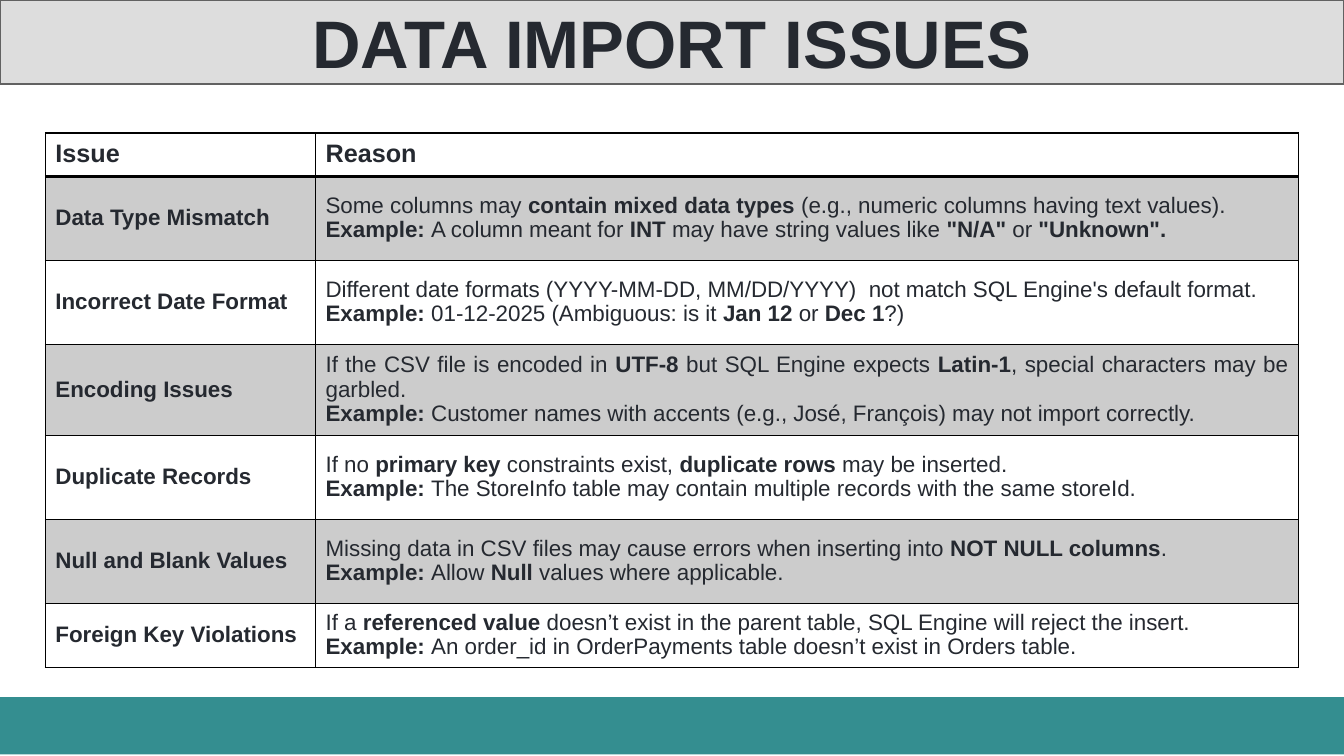
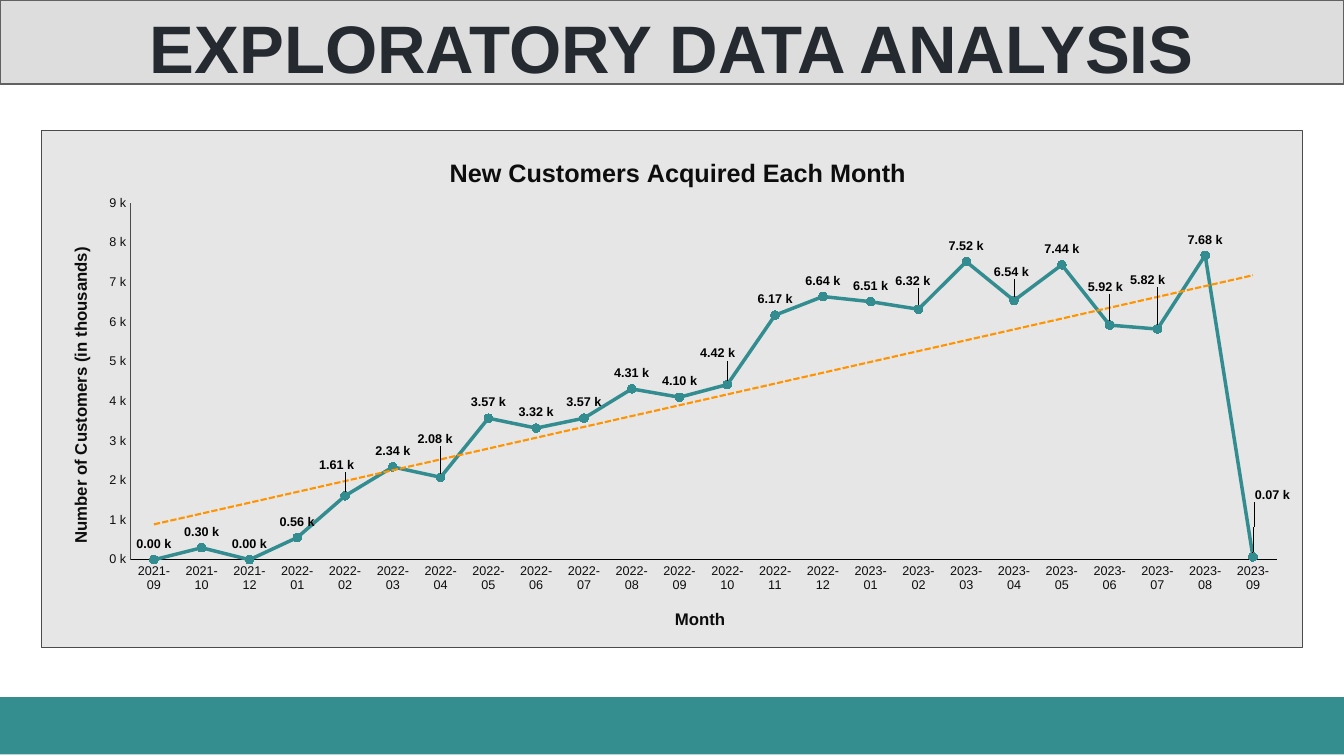
from pptx import Presentation
from pptx.chart.data import CategoryChartData
from pptx.dml.color import RGBColor
from pptx.enum.chart import XL_CHART_TYPE, XL_LABEL_POSITION, XL_MARKER_STYLE, XL_TICK_MARK
from pptx.enum.shapes import MSO_SHAPE
from pptx.enum.text import MSO_ANCHOR, PP_ALIGN
from pptx.oxml import parse_xml
from pptx.oxml.ns import nsdecls, qn
from pptx.util import Pt

RECT = MSO_SHAPE.RECTANGLE
MIDDLE = MSO_ANCHOR.MIDDLE
LEFT, CENTER, JUSTIFY = PP_ALIGN.LEFT, PP_ALIGN.CENTER, PP_ALIGN.JUSTIFY
ABOVE = XL_LABEL_POSITION.ABOVE
NO_TICKS = XL_TICK_MARK.NONE
CIRCLE = XL_MARKER_STYLE.CIRCLE
LINE_MARKERS = XL_CHART_TYPE.LINE_MARKERS

COLORS = {
    "teal": "348E90", "band": "DDDDDD", "band_line": "616161", "text": "252930",
    "white": "FFFFFF", "stripe": "CCCCCC", "black": "000000", "panel": "E6E6E6",
    "axis": "4B4B4B", "chart_text": "0D0D0D", "series": "338D90", "trend": "FF9300",
}
FONT = "Arial"
SLIDE_W, SLIDE_H = 960, 540
TITLE_FORMAT = {"name": FONT, "size": Pt(48), "bold": True}
HEADER_FORMAT = {"name": FONT, "size": Pt(18), "bold": True}
BODY_FORMAT = {"name": FONT, "size": Pt(16)}
LABEL_FORMAT = {"name": FONT, "size": Pt(9), "bold": True}
TICK_FORMAT = {"name": FONT, "size": Pt(9), "bold": False}
AXIS_TITLE_FORMAT = {"name": FONT, "size": Pt(12), "bold": True}

ISSUES = [
    ("Data Type Mismatch",
     "Some columns may **contain mixed data types **(e.g., numeric columns having text values).",
     "A column meant for **INT** may have string values like **\"N/A\" **or **\"Unknown\".**"),
    ("Incorrect Date Format",
     "Different date formats (YYYY-MM-DD, MM/DD/YYYY)  not match SQL Engine's default format.",
     "01-12-2025 (Ambiguous: is it **Jan 12 **or **Dec 1**?)"),
    ("Encoding Issues",
     "If the CSV file is encoded in **UTF-8** but SQL Engine expects **Latin-1**, "
     "special characters may be garbled.",
     "Customer names with accents (e.g., José, François) may not import correctly."),
    ("Duplicate Records",
     "If no **primary key **constraints exist, **duplicate rows** may be inserted.",
     "The StoreInfo table may contain multiple records with the same storeId."),
    ("Null and Blank Values",
     "Missing data in CSV files may cause errors when inserting into **NOT NULL columns**.",
     "Allow **Null** values where applicable."),
    ("Foreign Key Violations",
     "If a **referenced value **doesn’t exist in the parent table, "
     "SQL Engine will reject the insert.",
     "An order_id in OrderPayments table doesn’t exist in Orders table."),
]
ROW_HEIGHTS = [31, 60, 60, 65, 60, 60, 46]
COLUMN_WIDTHS = [193, 702]

MONTHS = (["2021-09", "2021-10", "2021-12"]
          + [f"2022-{month:02}" for month in range(1, 13)]
          + [f"2023-{month:02}" for month in range(1, 10)])
NEW_CUSTOMERS = [0, 300, 0, 560, 1610, 2340, 2080, 3570, 3320, 3570, 4310, 4100,
                 4420, 6170, 6640, 6510, 6320, 7520, 6540, 7440, 5920, 5820, 7680, 70]
LABEL_SHIFTS = {4: (-6, -11), 6: (-4, -16), 12: (-7, -11), 16: (-4, -9),
                18: (-2, -9), 20: (-3, -16), 21: (-7, -24), 23: (14, -33)}
CHART_W, CHART_H = 901, 370


def rgb(color):
    return RGBColor.from_string(COLORS[color])


def set_font(font, values, color):
    for attribute, value in values.items():
        setattr(font, attribute, value)
    font.color.rgb = rgb(color)


def paint(target, color):
    target.fill.solid()
    target.fill.fore_color.rgb = rgb(color)


def set_line(line, color, width):
    line.color.rgb = rgb(color)
    line.width = Pt(width)


def add_band(slide, top, height, color):
    band = slide.shapes.add_shape(RECT, 0, Pt(top), Pt(SLIDE_W), Pt(height))
    band.shadow.inherit = False
    paint(band, color)
    band.line.fill.background()
    return band


def add_base_slide(deck, title, line_spacing=None):
    slide = deck.slides.add_slide(deck.slide_layouts[6])
    add_band(slide, 498, 41, "teal")
    header = add_band(slide, 0, 60, "band")
    set_line(header.line, "band_line", 2)
    header.text_frame.vertical_anchor = MIDDLE
    header.text_frame.word_wrap = True
    paragraph = header.text_frame.paragraphs[0]
    paragraph.alignment = CENTER
    paragraph.line_spacing = line_spacing
    run = paragraph.add_run()
    run.text = title
    set_font(run.font, TITLE_FORMAT, "text")
    return slide


def write_marked(paragraph, marked, values, alignment):
    paragraph.alignment = alignment
    paragraph.line_spacing = 0.97
    for index, part in enumerate(marked.split("**")):
        if part:
            run = paragraph.add_run()
            run.text = part
            set_font(run.font, {**values, "bold": index % 2 == 1}, "text")


def set_borders(cell, widths):
    properties = cell._tc.get_or_add_tcPr()
    for side, width in zip("LRTB", widths):
        properties.append(parse_xml(
            f'<a:ln{side} {nsdecls("a")} w="{Pt(width)}"><a:solidFill>'
            f'<a:srgbClr val="{COLORS["black"]}"/></a:solidFill></a:ln{side}>'))


def fill_cell(cell, lines, values, alignment, color, widths):
    set_borders(cell, widths)
    paint(cell, color)
    cell.vertical_anchor = MIDDLE
    frame = cell.text_frame
    for index, line in enumerate(lines):
        paragraph = frame.add_paragraph() if index else frame.paragraphs[0]
        write_marked(paragraph, line, values, alignment)


def add_issue_table(slide):
    table = slide.shapes.add_table(
        len(ROW_HEIGHTS), len(COLUMN_WIDTHS), Pt(32.4), Pt(95),
        Pt(sum(COLUMN_WIDTHS)), Pt(sum(ROW_HEIGHTS))).table
    table.first_row = table.horz_banding = False
    for column, width in zip(table.columns, COLUMN_WIDTHS):
        column.width = Pt(width)
    for row, height in zip(table.rows, ROW_HEIGHTS):
        row.height = Pt(height)
    for column, heading in enumerate(["Issue", "Reason"]):
        fill_cell(table.cell(0, column), [f"**{heading}**"], HEADER_FORMAT, LEFT,
                  "white", (1, 1, 1, 2))
    for row, (issue, reason, example) in enumerate(ISSUES, 1):
        color = "stripe" if row % 2 else "white"
        widths = (1, 1, 2 if row == 1 else 1, 1)
        fill_cell(table.cell(row, 0), [f"**{issue}**"], BODY_FORMAT, LEFT, color, widths)
        fill_cell(table.cell(row, 1), [reason, f"**Example: **{example}"], BODY_FORMAT,
                  JUSTIFY, color, widths)


def place(parent, index, position, modes=""):
    for old in parent.findall(qn("c:layout")):
        parent.remove(old)
    values = "".join(f'<c:{key} val="{value}"/>' for key, value in position.items())
    parent.insert(index, parse_xml(
        f'<c:layout {nsdecls("c")}><c:manualLayout>{modes}{values}'
        f'</c:manualLayout></c:layout>'))


def write_chart_title(title, text, values, left, top):
    run = title.text_frame.paragraphs[0].add_run()
    run.text = text
    set_font(run.font, values, "chart_text")
    place(title.element, 1, {"x": left, "y": top},
          '<c:xMode val="edge"/><c:yMode val="edge"/>')


def format_axis(axis, title, left, top, line_color):
    axis.has_major_gridlines = False
    axis.major_tick_mark = axis.minor_tick_mark = NO_TICKS
    set_font(axis.tick_labels.font, TICK_FORMAT, "chart_text")
    set_line(axis.format.line, line_color, 0.75)
    write_chart_title(axis.axis_title, title, AXIS_TITLE_FORMAT, left, top)


def label_points(series):
    labels = series.data_labels
    labels.show_value = True
    labels.position = ABOVE
    labels.number_format = '#,##0.00,\\ "k"'
    labels.number_format_is_linked = False
    set_font(labels.font, LABEL_FORMAT, "black")
    for index, (right, down) in LABEL_SHIFTS.items():
        label = series.points[index].data_label
        label.position = ABOVE
        set_font(label.font, LABEL_FORMAT, "black")
    for element in series._element.iter(qn("c:dLbl")):
        right, down = LABEL_SHIFTS[int(element.find(qn("c:idx")).get("val"))]
        place(element, 1, {"x": round(right / CHART_W, 4), "y": round(down / CHART_H, 4)})
        element.insert(2, parse_xml(
            f'<c:numFmt {nsdecls("c")} formatCode="#,##0.00,\\ &quot;k&quot;" '
            'sourceLinked="0"/>'))


def add_trend(series):
    series._element.find(qn("c:cat")).addprevious(parse_xml(
        f'<c:trendline {nsdecls("c", "a")}><c:spPr><a:ln w="{Pt(1.5)}"><a:solidFill>'
        f'<a:srgbClr val="{COLORS["trend"]}"/></a:solidFill><a:prstDash val="sysDash"/>'
        '</a:ln></c:spPr><c:trendlineType val="linear"/><c:dispRSqr val="0"/>'
        '<c:dispEq val="0"/></c:trendline>'))


def format_series(series):
    series.smooth = False
    set_line(series.format.line, "series", 2.5)
    series.marker.style = CIRCLE
    series.marker.size = 6
    paint(series.marker.format, "series")
    set_line(series.marker.format.line, "series", 0.75)
    label_points(series)
    add_trend(series)


def add_customer_chart(slide):
    data = CategoryChartData()
    data.categories = MONTHS
    data.add_series("Series 1", NEW_CUSTOMERS)
    chart = slide.shapes.add_chart(
        LINE_MARKERS, Pt(29.5), Pt(93), Pt(CHART_W), Pt(CHART_H), data).chart
    chart.has_legend = False
    set_font(chart.font, {"name": FONT, "size": Pt(10)}, "black")
    write_chart_title(chart.chart_title, "New Customers Acquired Each Month",
                      HEADER_FORMAT, 0.32, 0.04)
    format_axis(chart.category_axis, "Month", 0.5, 0.92, "black")
    values = chart.value_axis
    format_axis(values, "Number of Customers (in thousands)", 0.02, 0.22, "axis")
    values.axis_title.element.find(".//" + qn("a:bodyPr")).set("rot", "-5400000")
    values.minimum_scale, values.maximum_scale, values.major_unit = 0, 9000, 1000
    values.tick_labels.number_format = '#,##0,\\ "k"'
    values.tick_labels.number_format_is_linked = False
    plot = chart.plots[0]
    plot.vary_by_categories = False
    format_series(plot.series[0])
    chart_root = chart.element.find(qn("c:chart"))
    place(chart_root.find(qn("c:plotArea")), 0, {"x": 0.07, "y": 0.14, "w": 0.91, "h": 0.69},
          '<c:layoutTarget val="inner"/><c:xMode val="edge"/><c:yMode val="edge"/>')
    chart_root.addnext(parse_xml(
        f'<c:spPr {nsdecls("c", "a")}><a:solidFill><a:srgbClr val="{COLORS["panel"]}"/>'
        f'</a:solidFill><a:ln w="{Pt(0.75)}"><a:solidFill>'
        f'<a:srgbClr val="{COLORS["axis"]}"/></a:solidFill></a:ln></c:spPr>'))


def main():
    deck = Presentation()
    deck.slide_width, deck.slide_height = Pt(SLIDE_W), Pt(SLIDE_H)
    add_issue_table(add_base_slide(deck, "DATA IMPORT ISSUES"))
    add_customer_chart(add_base_slide(deck, "EXPLORATORY DATA ANALYSIS", Pt(64.3)))
    deck.save("out.pptx")


if __name__ == "__main__":
    main()
